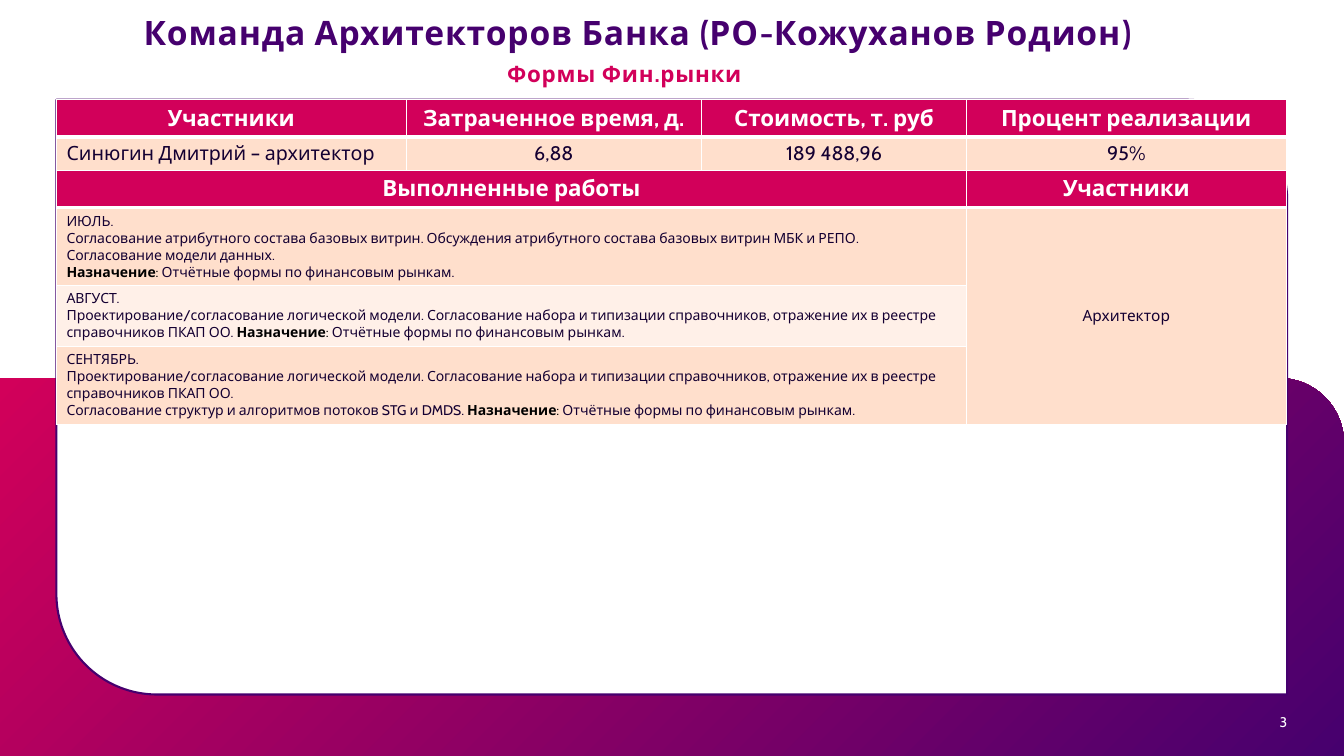
from lxml import etree
from pptx import Presentation
from pptx.dml.color import RGBColor
from pptx.enum import shapes, text
from pptx.oxml import ns
from pptx.util import Pt

PINK = RGBColor(0xD2, 0x00, 0x5A)
PURPLE = RGBColor(0x46, 0x00, 0x6E)
WHITE = RGBColor(0xFF, 0xFF, 0xFF)
BLACK = RGBColor(0x00, 0x00, 0x00)
INK = RGBColor(0x14, 0x00, 0x32)
PEACH = RGBColor(0xFF, 0xDF, 0xCC)
LIGHT_PEACH = RGBColor(0xFF, 0xF0, 0xE8)
FONT = "Cabin"
LEFT, CENTER, RIGHT = text.PP_ALIGN.LEFT, text.PP_ALIGN.CENTER, text.PP_ALIGN.RIGHT
TOP, MIDDLE, BOTTOM = text.MSO_ANCHOR.TOP, text.MSO_ANCHOR.MIDDLE, text.MSO_ANCHOR.BOTTOM

TITLE = "Команда Архитекторов Банка (РО-Кожуханов Родион)"
SUBTITLE = "Формы Фин.рынки"
PAGE = "3"
SUMMARY_HEADER = ["Участники", "Затраченное время, д.", "Стоимость, т. руб", "Процент реализации"]
SUMMARY_VALUES = ["Синюгин Дмитрий – архитектор", "6,88", "189 488,96", "95%"]
WORKS_HEADER = ["Выполненные работы", "Участники"]
ROLE = "Архитектор"
PURPOSE = [("Назначение", BLACK, True), (": ", BLACK, False),
           ("Отчётные формы по финансовым рынкам.", INK, False)]
MODEL = ("Проектирование/согласование логической модели. Согласование набора и типизации "
         "справочников, отражение их в реестре справочников ПКАП ОО.")
WORKS = [
    ["ИЮЛЬ.",
     "Согласование атрибутного состава базовых витрин. Обсуждения атрибутного состава "
     "базовых витрин МБК и РЕПО. Согласование модели данных.", ""],
    ["АВГУСТ.", MODEL + " "],
    ["СЕНТЯБРЬ.", MODEL, "Согласование структур и алгоритмов потоков STG и DMDS. "],
]

TABLE_LEFT, TABLE_TOP = 40.3, 71.3
SUMMARY_WIDTHS, SUMMARY_HEIGHTS = [249.8, 211, 189.4, 228.2], [26.4, 24]
WORKS_WIDTHS, WORKS_HEIGHTS = [650.2, 228.2], [26.6, 55.6, 43.6, 55.6]


def add_runs(paragraph, runs, size, align=LEFT, spacing=0):
    paragraph.alignment = align
    for words, color, bold in runs:
        run = paragraph.add_run()
        run.text = words
        run.font.name, run.font.size, run.font.bold = FONT, Pt(size), bold
        run.font.color.rgb = color
        if spacing:
            run.font._element.set("spc", str(round(spacing * 100)))


def add_label(slide, box, words, size, color, bold, align, anchor, spacing=0):
    label = slide.shapes.add_textbox(*map(Pt, box))
    frame = label.text_frame
    frame.word_wrap, frame.vertical_anchor = True, anchor
    add_runs(frame.paragraphs[0], [(words, color, bold)], size, align, spacing)
    return frame


def add_panel(slide, kind, box, adjustments):
    panel = slide.shapes.add_shape(kind, *map(Pt, box))
    panel.shadow.inherit = False
    for index, value in enumerate(adjustments):
        panel.adjustments[index] = value
    return panel


def style_cell(cell, fill, bottom=1, anchor=TOP):
    cell.fill.solid()
    cell.fill.fore_color.rgb = fill
    cell.vertical_anchor = anchor
    properties = cell._tc.get_or_add_tcPr()
    for index, (side, width) in enumerate([("lnL", 1), ("lnR", 1), ("lnT", 1), ("lnB", bottom)]):
        line = etree.Element(ns.qn("a:" + side), w=str(Pt(width)))
        solid = etree.SubElement(line, ns.qn("a:solidFill"))
        etree.SubElement(solid, ns.qn("a:srgbClr"), val=str(WHITE))
        properties.insert(index, line)


def add_grid(slide, top, widths, heights, header):
    frame = slide.shapes.add_table(len(heights), len(widths), Pt(TABLE_LEFT), Pt(top),
                                   Pt(sum(widths)), Pt(sum(heights)))
    table = frame.table
    for column, width in zip(table.columns, widths):
        column.width = Pt(width)
    for row, height in zip(table.rows, heights):
        row.height = Pt(height)
    for cell, words in zip(table.rows[0].cells, header):
        style_cell(cell, PINK, 3)
        add_runs(cell.text_frame.paragraphs[0], [(words, WHITE, True)], 16, CENTER)
    return table


def main():
    presentation = Presentation()
    presentation.slide_width, presentation.slide_height = Pt(960), Pt(540)
    slide = presentation.slides.add_slide(presentation.slide_layouts[6])

    backdrop = add_panel(slide, shapes.MSO_SHAPE.ROUND_1_RECTANGLE, (0, 270, 960, 272.9), [0.17])
    backdrop.fill.gradient()
    backdrop.fill.gradient_angle = 315
    for stop, color, position in zip(backdrop.fill.gradient_stops, (PINK, PURPLE), (0, 1)):
        stop.color.rgb, stop.position = color, position
    backdrop.line.fill.background()

    card = add_panel(slide, shapes.MSO_SHAPE.ROUND_2_DIAG_RECTANGLE,
                     (TABLE_LEFT, TABLE_TOP, 879.1, 424.8), [0, 0.169])
    card.fill.solid()
    card.fill.fore_color.rgb = WHITE
    card.line.color.rgb, card.line.width = PURPLE, Pt(1.5)

    title = add_label(slide, (26.6, 11.5, 857.5, 26.6), TITLE, 24, PURPLE, True,
                      CENTER, MIDDLE, 0.6)
    title.paragraphs[0].line_spacing = 0.89
    number = add_label(slide, (793.4, 496.8, 126, 28.1), PAGE, 10, WHITE, False, RIGHT, BOTTOM)
    number.margin_right = 0

    summary = add_grid(slide, TABLE_TOP, SUMMARY_WIDTHS, SUMMARY_HEIGHTS, SUMMARY_HEADER)
    for index, words in enumerate(SUMMARY_VALUES):
        cell = summary.cell(1, index)
        style_cell(cell, PEACH)
        add_runs(cell.text_frame.paragraphs[0], [(words, INK, False)], 14,
                 CENTER if index else LEFT)

    works = add_grid(slide, TABLE_TOP + sum(SUMMARY_HEIGHTS), WORKS_WIDTHS, WORKS_HEIGHTS,
                     WORKS_HEADER)
    for row, lines in enumerate(WORKS, 1):
        cell = works.cell(row, 0)
        style_cell(cell, PEACH if row % 2 else LIGHT_PEACH)
        style_cell(works.cell(row, 1), PEACH, anchor=MIDDLE)
        for index, words in enumerate(lines):
            frame = cell.text_frame
            paragraph = frame.add_paragraph() if index else frame.paragraphs[0]
            runs = [(words, INK, False)] if words else []
            add_runs(paragraph, runs + (PURPOSE if index == len(lines) - 1 else []), 10)
    works.cell(1, 1).merge(works.cell(len(WORKS), 1))
    add_runs(works.cell(1, 1).text_frame.paragraphs[0], [(ROLE, INK, False)], 11, CENTER)

    add_label(slide, (203.8, 39.6, 484.6, 26.6), SUBTITLE, 16, PINK, True, CENTER, TOP, 0.6)
    presentation.save("out.pptx")


if __name__ == "__main__":
    main()
